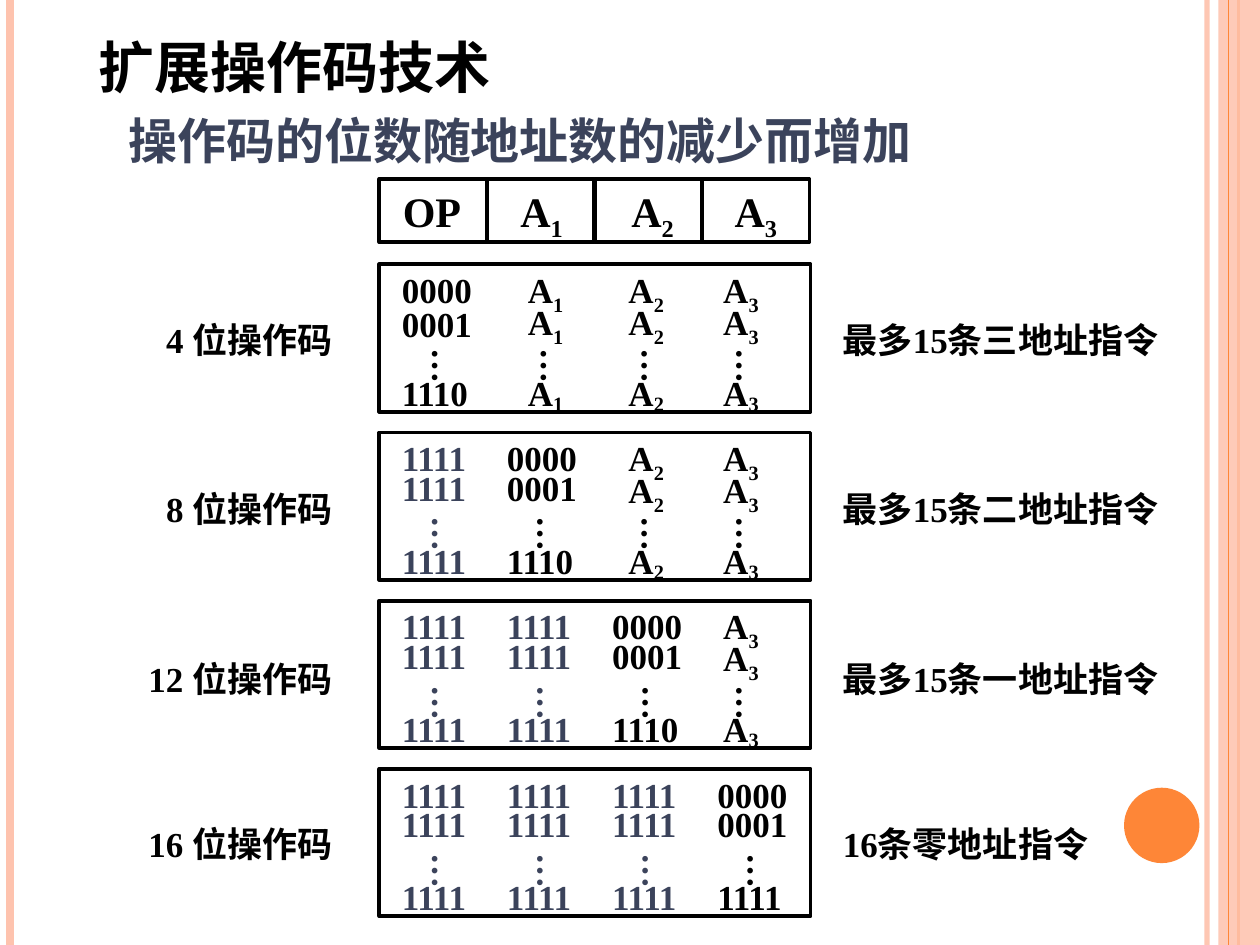
from lxml import etree
from pptx import Presentation
from pptx import util as u
from pptx.dml.color import RGBColor
from pptx.enum import shapes, text
from pptx.oxml.ns import qn

BLACK, SLATE, ORANGE, PEACH = "000000", "3B435B", "FE8637", "FEC3AE"
FONT = "Times New Roman"
MARGIN = 0.25

# Panel geometry, in centimetres
PANEL_LEFT, PANEL_TOP, PANEL_STEP = 7.65, 5.33, 3.39
CODE_LEFT, CODE_STEP = 7.85, 2.12
ADDRESS_LEFTS = {1: 10.39, 2: 12.42, 3: 14.33}


def paint(color_format, color):
    color_format.rgb = RGBColor.from_string(color)


def set_alpha(fill_parent, percent):
    color = fill_parent.find(".//" + qn("a:srgbClr"))
    etree.SubElement(color, qn("a:alpha")).set("val", str(percent * 1000))


def add_rule(parent, x, color, width, alpha=None):
    """Vertical line over the full slide height."""
    line = parent.add_connector(shapes.MSO_CONNECTOR.STRAIGHT,
                                u.Cm(x), 0, u.Cm(x), u.Cm(19.05))
    paint(line.line.color, color)
    line.line.width = u.Pt(width)
    properties = line._element.spPr
    if alpha:
        set_alpha(properties, alpha)
    etree.SubElement(properties, qn("a:effectLst"))


def add_block(parent, kind, box, fill=None, alpha=None):
    """Filled shape without outline, or an empty frame with a black one."""
    shape = parent.add_shape(kind, *(u.Cm(value) for value in box))
    shape.shadow.inherit = False
    if fill:
        shape.fill.solid()
        paint(shape.fill.fore_color, fill)
        shape.line.fill.background()
        if alpha:
            set_alpha(shape._element.spPr, alpha)
    else:
        shape.fill.background()
        paint(shape.line.color, BLACK)
        shape.line.width = u.Pt(2.25)


def add_label(parent, box, content, size=20, color=BLACK, subscript="",
              baseline=-25, wrap=False, vertical=False, indent=0):
    label = parent.add_textbox(*(u.Cm(value) for value in box))
    frame = label.text_frame
    frame.word_wrap = wrap
    frame.auto_size = text.MSO_AUTO_SIZE.SHAPE_TO_FIT_TEXT
    frame.margin_left = u.Cm(MARGIN + indent)
    if vertical:
        frame._txBody.bodyPr.set("vert", "eaVert")
    frame.text = content
    paragraph = frame.paragraphs[0]
    if subscript:
        run = paragraph.add_run()
        run.text = subscript
        run._r.get_or_add_rPr().set("baseline", str(baseline * 1000))
    for run in paragraph.runs:
        run.font.name = FONT
        run.font.size = u.Pt(size)
        run.font.bold = True
        paint(run.font.color, color)
    return frame


def add_decoration(parent):
    add_rule(parent, 24.33, PEACH, 3, 93)
    add_rule(parent, 0.2, PEACH, 4.5)
    add_rule(parent, 24.97, ORANGE, 1.5)
    add_block(parent, shapes.MSO_SHAPE.RECTANGLE, (24.56, 0, 0.84, 19.05), PEACH, 87)
    add_rule(parent, 24.77, ORANGE, 0.75)
    add_block(parent, shapes.MSO_SHAPE.OVAL, (22.66, 15.88, 1.52, 1.52), ORANGE)


def add_header(parent):
    """Instruction format: OP, A1, A2, A3."""
    add_label(parent, (7.87, 3.61, 1.68, 1.27), "OP", 24)
    for number, left in enumerate((10.03, 12.27, 14.35), 1):
        add_label(parent, (left, 3.61, 1.63, 1.27), "A", 24,
                  subscript=str(number), indent=0.21)
    for column in range(4):
        add_block(parent, shapes.MSO_SHAPE.RECTANGLE,
                  (PANEL_LEFT + 2.17 * column, 3.61, 2.16, 1.27))


def add_dots(parent, left, top, color):
    add_label(parent, (left, top + 1.45, 1.35, 0.97), "…", color=color, vertical=True)


def add_code_column(parent, column, top, codes, color, second_row):
    left = CODE_LEFT + CODE_STEP * column
    for code, offset in zip(codes, (-0.04, second_row, 2.03)):
        add_label(parent, (left, top + offset, 1.93, 1.09), code, color=color)
    add_dots(parent, left + 0.35, top, color)


def add_address_column(parent, number, top):
    left = ADDRESS_LEFTS[number]
    for offset, baseline in ((-0.04, -25), (0.6, -25), (2.03, -15)):
        add_label(parent, (left, top + offset, 1.24, 1.09), "A",
                  subscript=str(number), baseline=baseline)
    add_dots(parent, left, top, BLACK)


def add_panel(parent, index):
    """Fixed prefix columns, one counting column, then address columns."""
    top = PANEL_TOP + PANEL_STEP * index
    add_block(parent, shapes.MSO_SHAPE.RECTANGLE, (PANEL_LEFT, top, 8.69, 2.97))
    second_row = 0.56 if index else 0.64
    for column in range(4):
        if column < index:
            add_code_column(parent, column, top, ["1111"] * 3, SLATE, second_row)
        elif column == index:
            last = "1111" if index == 3 else "1110"
            add_code_column(parent, column, top, ["0000", "0001", last],
                            BLACK, second_row)
        else:
            add_address_column(parent, column, top)


def main():
    presentation = Presentation()
    presentation.slide_width, presentation.slide_height = u.Cm(25.4), u.Cm(19.05)
    slide = presentation.slides.add_slide(presentation.slide_layouts[6])
    parts = slide.shapes

    add_decoration(parts)

    # Headings
    title = add_label(parts, (0.84, 0.41, 14.45, 1.78), "扩展操作码技术", 32,
                      wrap=True, indent=0.9)
    title.margin_top = u.Cm(0.25)
    add_label(parts, (2.34, 2.11, 18.36, 1.45), "操作码的位数随地址数的减少而增加",
              28, SLATE, wrap=True)

    # Instruction format and the four opcode panels
    add_header(parts.add_group_shape().shapes)
    for index in range(4):
        add_panel(parts.add_group_shape().shapes, index)

    # Captions on both sides: top, bits, left, width, remark, remark width
    captions = [
        (6.3, 4, 3.1, 3.89, "最多15条三地址指令", 8.66),
        (9.7, 8, 3.1, 3.89, "最多15条二地址指令", 7.54),
        (13.13, 12, 2.74, 4.24, "最多15条一地址指令", 7.34),
        (16.46, 16, 2.74, 4.24, "16条零地址指令", 5.49),
    ]
    for top, bits, left, width, remark, remark_width in captions:
        add_label(parts, (left, top, width, 1.09), f"{bits} 位操作码", wrap=True)
        add_label(parts, (16.74, top, remark_width, 1.09), remark, wrap=True)

    presentation.save("out.pptx")


if __name__ == "__main__":
    main()
